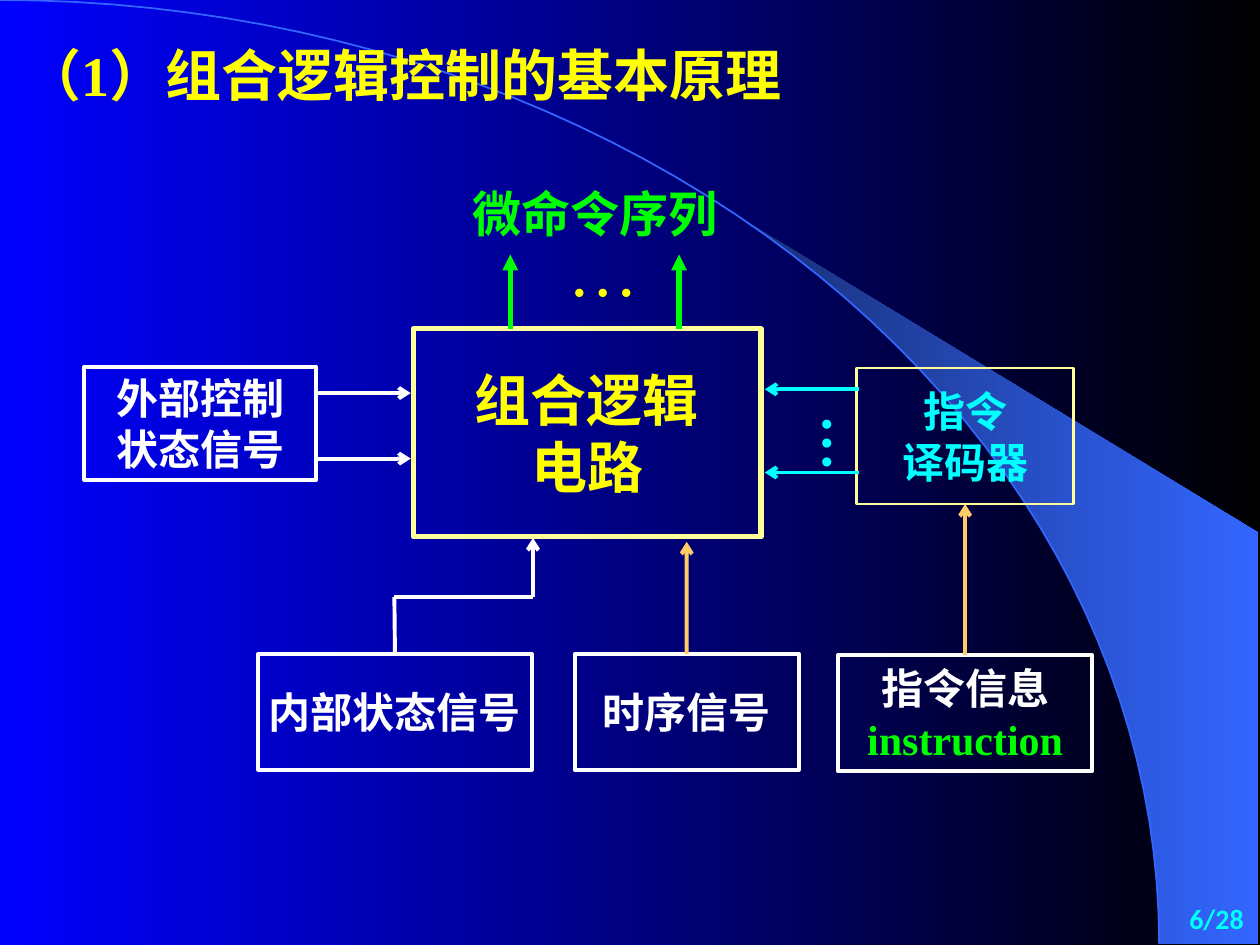
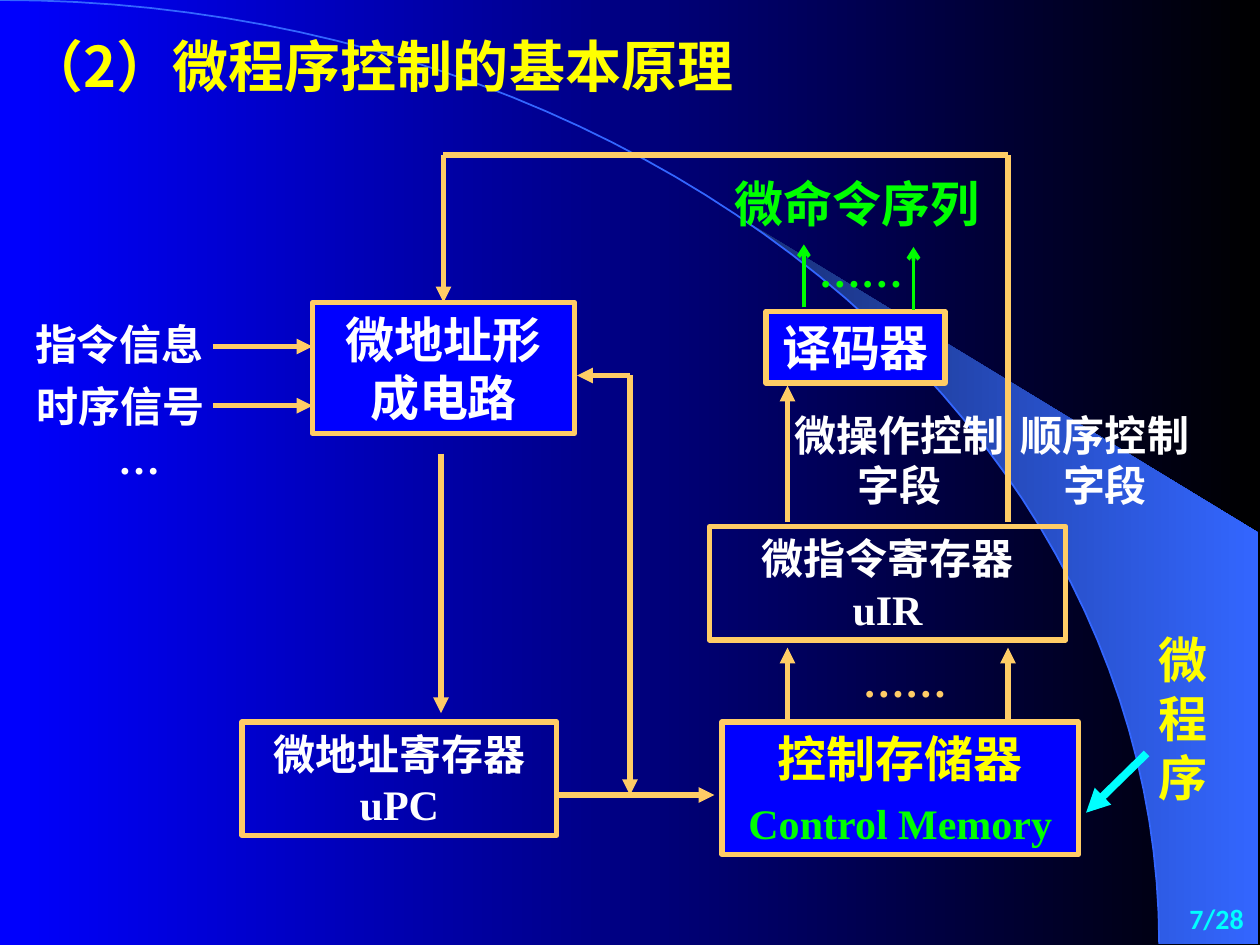
from math import acos, cos, pi, sin

from lxml.etree import SubElement
from pptx import Presentation
from pptx.dml.color import RGBColor
from pptx.enum.shapes import MSO_CONNECTOR as Conn, MSO_SHAPE as Kind
from pptx.enum.text import MSO_ANCHOR as Anchor, MSO_AUTO_SIZE as Fit, PP_ALIGN as Align
from pptx.oxml.ns import qn
from pptx.util import Inches, Pt

WHITE = RGBColor(0xFF, 0xFF, 0xFF)
BLACK = RGBColor(0, 0, 0)
BLUE = RGBColor(0, 0, 0xFF)
NAVY = RGBColor(0x18, 0x2F, 0x76)
SKY = RGBColor(0x33, 0x66, 0xFF)
YELLOW = RGBColor(0xFF, 0xFF, 0)
CREAM = RGBColor(0xFF, 0xFF, 0x99)
AMBER = RGBColor(0xFF, 0xCC, 0x66)
GREEN = RGBColor(0, 0xFF, 0)
CYAN = RGBColor(0, 0xFF, 0xFF)
SERIF = "Times New Roman"
SANS = "Noto Sans CJK SC"
PAGES = 28
ARC_W, ARC_H = 9.2, 7.49


def put(frame, text, size=24, color=WHITE, face=SERIF, bold=True,
        align=Align.CENTER, gap=0, more=False):
    for line in text.split("\n"):
        para = frame.add_paragraph() if more else frame.paragraphs[0]
        more = True
        para.alignment = align
        para.space_before = Pt(gap)
        if max(line) >= "一":
            para.line_spacing = Pt(size * 1.2)
        run = para.add_run()
        run.text = line
        font = run.font
        font.size, font.bold, font.name = Pt(size), bold, face
        font.color.rgb = color
        SubElement(font._element, qn("a:ea"), typeface=SANS)


def set_frame(frame, anchor, wrap=True):
    frame.auto_size = Fit.NONE
    frame.word_wrap = wrap
    frame.vertical_anchor = anchor
    frame.margin_left = frame.margin_right = Inches(0.1)
    frame.margin_top = frame.margin_bottom = Inches(0.05)


def label(slide, area, text, anchor=Anchor.TOP, **form):
    frame = slide.shapes.add_textbox(*map(Inches, area)).text_frame
    set_frame(frame, anchor)
    put(frame, text, **form)
    return frame


def box(slide, area, text, edge, width, fill=None, wrap=True, **form):
    shape = slide.shapes.add_shape(Kind.RECTANGLE, *map(Inches, area))
    shape.shadow.inherit = False
    if fill is None:
        shape.fill.background()
    else:
        shape.fill.solid()
        shape.fill.fore_color.rgb = fill
    shape.line.color.rgb = edge
    shape.line.width = Pt(width)
    set_frame(shape.text_frame, Anchor.MIDDLE, wrap)
    put(shape.text_frame, text, **form)
    return shape


def link(slide, start, stop, color, width, head=None, begin=None, end=None):
    line = slide.shapes.add_connector(Conn.STRAIGHT, *map(Inches, start + stop))
    line.line.color.rgb = color
    line.line.width = Pt(width)
    props = line._element.spPr
    if head:
        SubElement(props.find(qn("a:ln")), qn("a:tailEnd"), type=head)
    SubElement(props, qn("a:effectLst"))
    if begin:
        line.begin_connect(*begin)
    if end:
        line.end_connect(*end)


def shade(fill, left, right):
    fill.gradient()
    fill.gradient_angle = 0
    for stop, color in zip(fill.gradient_stops, (left, right)):
        stop.color.rgb = color


def outline(slide, points, close):
    spots = [(Inches(x), Inches(y)) for x, y in points]
    path = slide.shapes.build_freeform(*spots[0], scale=1.0)
    path.add_line_segments(spots[1:], close=close)
    shape = path.convert_to_shape()
    shape.shadow.inherit = False
    return shape


def curve(left, steps=48):
    first = acos(left / ARC_W)
    turns = [first * (1 - i / steps) for i in range(steps + 1)]
    return [(ARC_W * cos(t), ARC_H * (1 - sin(t))) for t in turns]


def set_back(slide):
    layout = slide.slide_layout
    shade(layout.background.fill, BLUE, BLACK)
    beam = outline(slide, curve(5.89) + [(9.99, ARC_H), (9.99, 4.23)], True)
    shade(beam.fill, NAVY, SKY)
    beam.line.fill.background()
    rim = outline(slide, curve(0), False)
    rim.fill.background()
    rim.line.color.rgb = SKY
    rim.line.width = Pt(1)
    for shape in (beam, rim):
        layout.shapes.element.append(shape.element)


def start_page(deck, title, area, page, face=SERIF):
    slide = deck.slides.add_slide(deck.slide_layouts[5])
    head = slide.shapes.title
    head.left, head.top, head.width, head.height = map(Inches, area)
    set_frame(head.text_frame, Anchor.TOP)
    put(head.text_frame, title, size=32, color=YELLOW, face=face, align=Align.LEFT)
    label(slide, (8.79, 7.09, 1.18, 0.39), f"{page}/{PAGES}", Anchor.MIDDLE,
          size=16, color=CYAN, face="Calibri", align=Align.RIGHT)
    return slide


def draw_logic(slide):
    box(slide, (3.28, 2.61, 2.76, 1.65), "组合逻辑\n电路", CREAM, 3,
        wrap=False, size=32, color=YELLOW)
    for x in (4.05, 5.39):
        link(slide, (x, 2.61), (x, 2.02), GREEN, 3, "triangle")
    label(slide, (4.41, 1.75, 1.17, 0.77), "…", size=40, color=YELLOW,
          bold=False, align=Align.LEFT)
    label(slide, (3.64, 1.41, 2.17, 0.57), "微命令序列", size=28, color=GREEN)

    coder = box(slide, (6.8, 2.92, 1.72, 1.08), "指令\n译码器", CREAM, 1.5,
                wrap=False, color=CYAN, face=SANS)
    for y in (3.09, 3.75):
        link(slide, (6.82, y), (6.07, y), CYAN, 2.25, "arrow")
    dots = label(slide, (6.3, 3.2, 0.73, 0.58), "…", size=32, color=CYAN,
                 align=Align.LEFT)
    dots.margin_left = dots.margin_right = Inches(0.05)
    dots.margin_top = dots.margin_bottom = Inches(0.1)
    dots._txBody.bodyPr.set("vert", "eaVert")

    box(slide, (0.67, 2.91, 1.84, 0.9), "外部控制状态信号", WHITE, 2.25)
    for y in (3.12, 3.64):
        link(slide, (2.51, y), (3.26, y), WHITE, 2.25, "arrow")

    inner = box(slide, (2.05, 5.19, 2.17, 0.92), "内部状态信号", WHITE, 2.25,
                wrap=False, face=SANS)
    clock = box(slide, (4.56, 5.19, 1.78, 0.92), "时序信号", WHITE, 2.25, wrap=False)
    info = box(slide, (6.65, 5.2, 2.02, 0.92), "指令信息", WHITE, 2.25, wrap=False)
    put(info.text_frame, "instruction", color=GREEN, more=True)
    link(slide, (3.13, 4.74), (3.13, 5.19), WHITE, 2.25, end=(inner, 0))
    link(slide, (3.13, 4.74), (4.23, 4.74), WHITE, 2.25)
    link(slide, (4.23, 4.74), (4.23, 4.27), WHITE, 2.25, "arrow")
    link(slide, (5.45, 5.19), (5.45, 4.3), AMBER, 2.25, "arrow", begin=(clock, 0))
    link(slide, (7.66, 5.2), (7.66, 4), AMBER, 2.25, "arrow",
         begin=(info, 0), end=(coder, 2))


def draw_micro(slide):
    former = box(slide, (2.48, 2.4, 2.08, 1.04), "微地址形成电路", AMBER, 3, BLUE, size=28)
    box(slide, (1.92, 5.73, 2.5, 0.9), "微地址寄存器\nuPC", AMBER, 3)
    box(slide, (6.08, 2.47, 1.42, 0.57), "译码器", AMBER, 3, BLUE, size=28)
    box(slide, (5.63, 4.18, 2.83, 0.9), "微指令寄存器\nuIR", AMBER, 3)
    store = box(slide, (5.73, 5.73, 2.83, 1.05), "控制存储器", AMBER, 3, BLUE,
                size=28, color=YELLOW)
    put(store.text_frame, "Control Memory", color=GREEN, gap=6, more=True)

    label(slide, (7.81, 3.2, 1.92, 0.9), "顺序控制\n字段")
    label(slide, (6.18, 3.2, 1.92, 0.9), "微操作控制\n字段")
    label(slide, (5.62, 1.33, 2.36, 0.57), "微命令序列", size=28, color=GREEN)
    label(slide, (9.1, 4.95, 0.7, 1.5), "微程序", size=28, color=YELLOW,
          align=Align.LEFT)
    label(slide, (6.4, 1.9, 0.92, 0.5), "……", color=GREEN, align=Align.LEFT)
    label(slide, (6.75, 5.15, 0.92, 0.5), "……", color=AMBER, align=Align.LEFT)
    label(slide, (0.18, 2.48, 1.67, 0.5), "指令信息", align=Align.LEFT)
    label(slide, (0.16, 2.97, 1.6, 0.5), "时序信号")
    label(slide, (0.27, 3.38, 1.67, 0.5), "…")

    for start, stop in (((8, 4.14), (8, 1.23)), ((3.52, 1.23), (8, 1.23))):
        link(slide, start, stop, AMBER, 3)
    link(slide, (3.52, 1.23), (3.52, 2.4), AMBER, 3, "triangle", end=(former, 0))
    arrows = [
        ((6.25, 4.14), (6.25, 3.06)),
        ((4.42, 6.31), (5.67, 6.31)),
        ((5, 2.98), (4.58, 2.98)),
        ((5, 2.98), (5, 6.31)),
        ((3.5, 3.6), (3.5, 5.66)),
        ((6.25, 5.73), (6.25, 5.14)),
        ((8, 5.73), (8, 5.14)),
        ((1.69, 2.75), (2.48, 2.75)),
        ((1.69, 3.22), (2.48, 3.22)),
    ]
    for start, stop in arrows:
        link(slide, start, stop, AMBER, 3, "triangle")
    for x, y in ((6.38, 2.44), (7.25, 2.46)):
        link(slide, (x, y), (x, y - 0.5), GREEN, 2.25, "arrow")
    link(slide, (9.1, 5.98), (8.62, 6.45), CYAN, 4.5, "triangle")


def main():
    deck = Presentation()
    deck.slide_width, deck.slide_height = Inches(10), Inches(7.5)
    logic = start_page(deck, "（1）组合逻辑控制的基本原理", (0.1, 0.27, 6.71, 0.64), 6)
    set_back(logic)
    draw_logic(logic)
    micro = start_page(deck, "（2）微程序控制的基本原理", (0.12, 0.2, 6.06, 0.64), 7, SANS)
    draw_micro(micro)
    deck.save("out.pptx")


if __name__ == "__main__":
    main()
